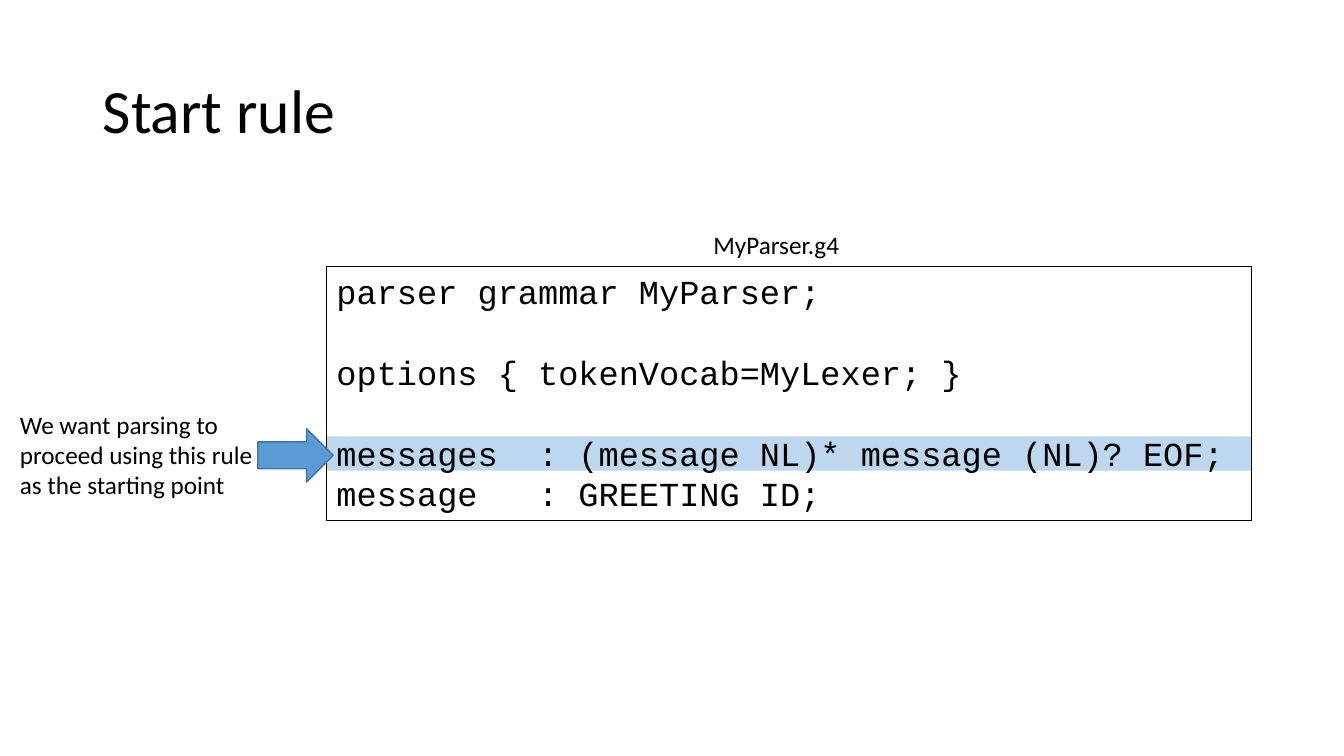
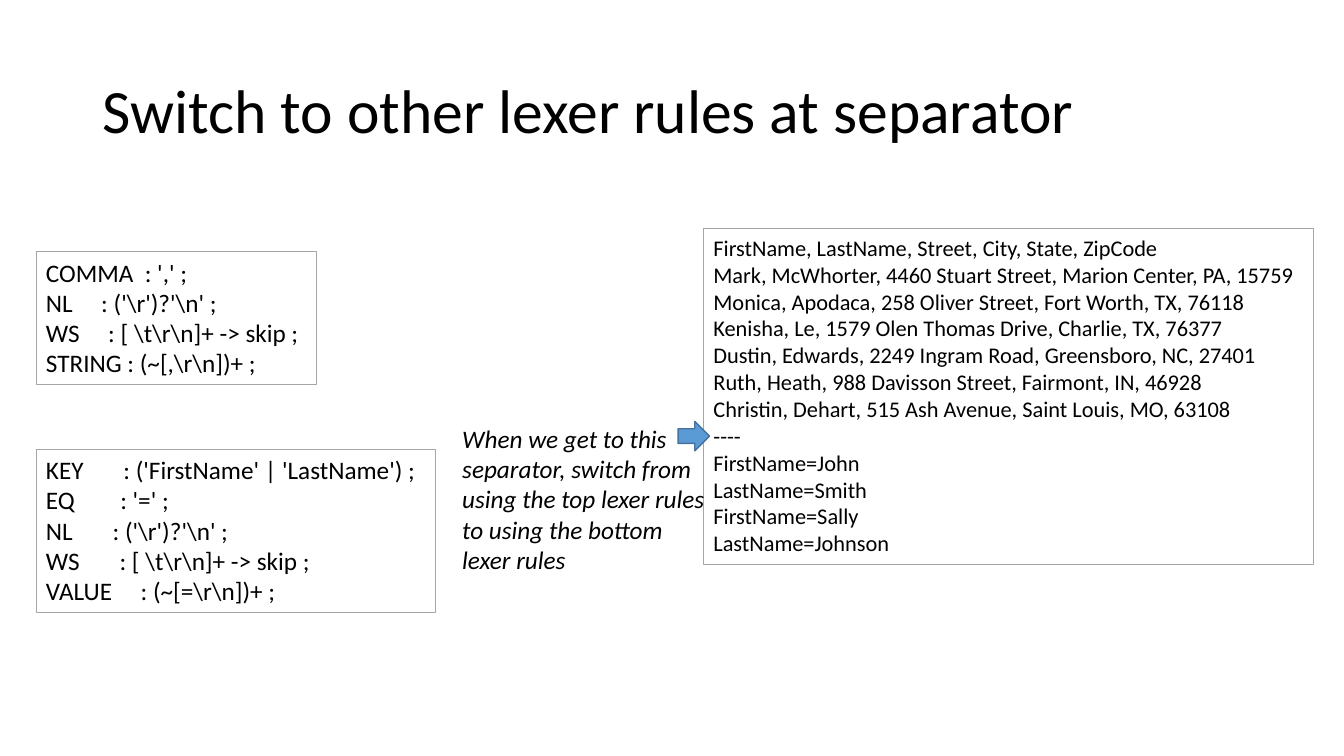
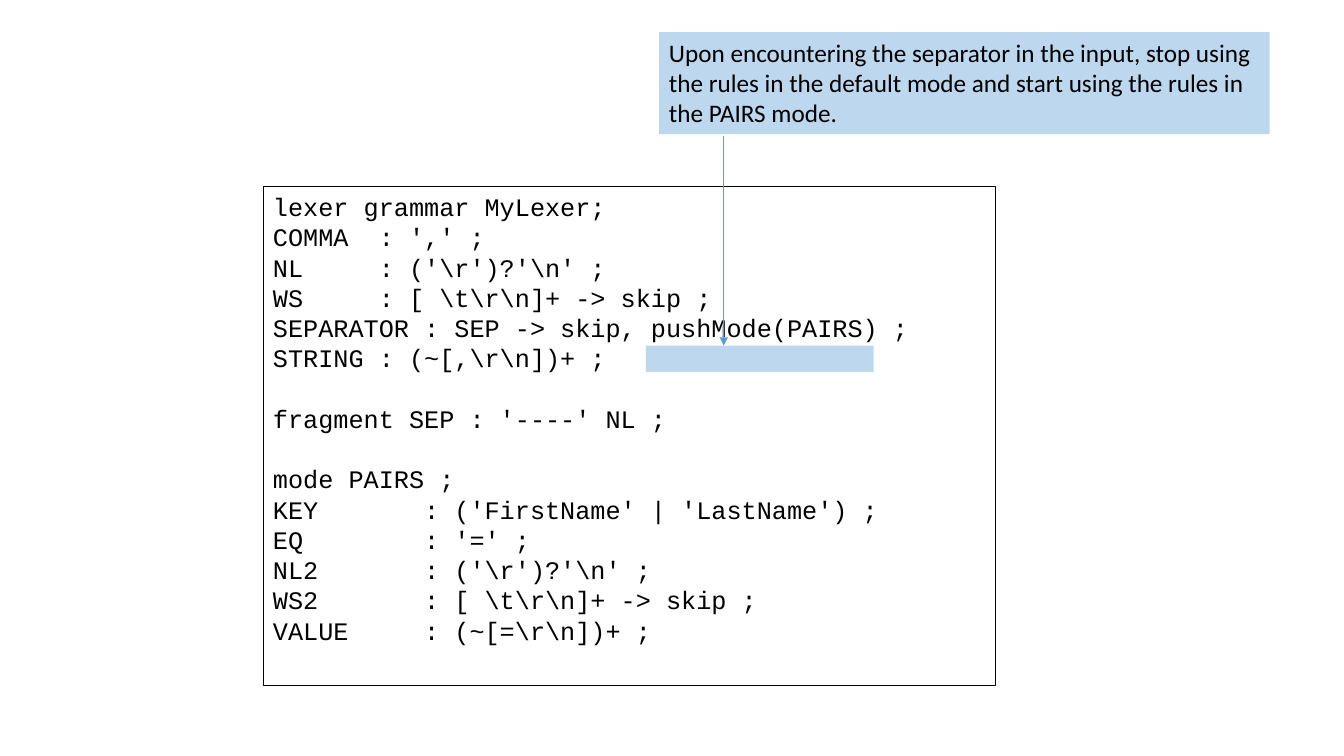
from lxml import etree
from pptx import Presentation
from pptx.dml.color import RGBColor
from pptx.enum.shapes import MSO_CONNECTOR, MSO_SHAPE
from pptx.enum.text import MSO_ANCHOR
from pptx.oxml.ns import qn
from pptx.util import Cm, Pt

# Shared look
COLORS = {"text": "000000", "highlight": "BDD7EE", "arrow": "5B9BD5",
          "arrow_edge": "43739E", "code_edge": "000000", "sample_edge": "A6A6A6"}
BODY_FONT = "Calibri"
CODE_FONT = "Courier New"
LINE_PITCH = 1.2  # line height of one text line, relative to its size


def add_text(slide, box, lines, size=18, font=BODY_FONT, edge=None, fill=None,
             italic=None, wrap=True, anchor=MSO_ANCHOR.TOP, spacing=None):
    """Text box with one paragraph a line; an empty line becomes space before the next."""
    shape = slide.shapes.add_textbox(*map(Cm, box))
    if fill:
        shape.fill.solid()
        shape.fill.fore_color.rgb = RGBColor.from_string(COLORS[fill])
    if edge:
        shape.line.color.rgb = RGBColor.from_string(COLORS[edge])
        shape.line.width = Pt(0.75)
    frame = shape.text_frame
    frame.word_wrap = wrap
    frame.vertical_anchor = anchor
    frame.text = "\n".join(line for line in lines if line)
    after_gap = [not before for before, line in zip(["start"] + lines, lines) if line]
    for paragraph, gap in zip(frame.paragraphs, after_gap):
        if gap:
            paragraph.space_before = Pt(round(size * LINE_PITCH, 1))
        if spacing:
            paragraph.line_spacing = spacing
        paragraph.font.name = font
        paragraph.font.size = Pt(size)
        paragraph.font.italic = italic
        paragraph.font.color.rgb = RGBColor.from_string(COLORS["text"])


def add_marker(slide, kind, box, fill, edge=None):
    """Plain filled shape: a highlight bar or a block arrow."""
    shape = slide.shapes.add_shape(kind, *map(Cm, box))
    shape.shadow.inherit = False
    shape.fill.solid()
    shape.fill.fore_color.rgb = RGBColor.from_string(COLORS[fill])
    if edge:
        shape.line.color.rgb = RGBColor.from_string(COLORS[edge])
        shape.line.width = Pt(1)
    else:
        shape.line.fill.background()


prs = Presentation()
prs.slide_width, prs.slide_height = Cm(33.87), Cm(19.05)
start_rule, switch_rules, push_mode = [
    prs.slides.add_slide(prs.slide_layouts[6]) for _ in range(3)]

# Titles
for slide, title in [(start_rule, "Start rule"),
                     (switch_rules, "Switch to other lexer rules at separator")]:
    add_text(slide, (2.34, 1.02, 29.21, 3.68), [title], size=44,
             anchor=MSO_ANCHOR.MIDDLE, spacing=0.9)

# Slide 1: parser grammar with its start rule highlighted
add_marker(start_rule, MSO_SHAPE.RECTANGLE, (8.23, 11, 23.32, 0.86), "highlight")
add_text(start_rule, (8.23, 6.71, 23.32, 6.4), [
    "parser grammar MyParser;",
    "",
    "options { tokenVocab=MyLexer; }",
    "",
    "messages  : (message NL)* message (NL)? EOF;",
    "message   : GREETING ID;",
], size=24, font=CODE_FONT, edge="code_edge")
add_text(start_rule, (17.73, 5.66, 3.71, 1.02), ["MyParser.g4"], wrap=False)
add_marker(start_rule, MSO_SHAPE.RIGHT_ARROW, (6.5, 10.8, 1.9, 1.35), "arrow", "arrow_edge")
add_text(start_rule, (0.25, 10.19, 6.5, 2.57),
         ["We want parsing to proceed using this rule as the starting point"])

# Slide 2: input data and the two sets of lexer rules
add_text(switch_rules, (17.73, 5.77, 15.37, 8.46), [
    "FirstName, LastName, Street, City, State, ZipCode",
    "Mark, McWhorter, 4460 Stuart Street, Marion Center, PA, 15759",
    "Monica, Apodaca, 258 Oliver Street, Fort Worth, TX, 76118",
    "Kenisha, Le, 1579 Olen Thomas Drive, Charlie, TX, 76377",
    "Dustin, Edwards, 2249 Ingram Road, Greensboro, NC, 27401",
    "Ruth, Heath, 988 Davisson Street, Fairmont, IN, 46928",
    "Christin, Dehart, 515 Ash Avenue, Saint Louis, MO, 63108",
    "----",
    "FirstName=John",
    "LastName=Smith",
    "FirstName=Sally",
    "LastName=Johnson",
], size=16, edge="sample_edge")
add_text(switch_rules, (0.91, 6.35, 7.06, 3.33), [
    "COMMA  : ',' ;",
    r"NL     : ('\r')?'\n' ;",
    r"WS     : [ \t\r\n]+ -> skip ;",
    r"STRING : (~[,\r\n])+ ;",
], edge="sample_edge")
add_text(switch_rules, (0.91, 11.33, 10.06, 4.11), [
    "KEY       : ('FirstName' | 'LastName') ;",
    "EQ        : '=' ;",
    r"NL       : ('\r')?'\n' ;",
    r"WS       : [ \t\r\n]+ -> skip ;",
    r"VALUE     : (~[=\r\n])+ ;",
], edge="sample_edge")
add_text(switch_rules, (11.4, 10.54, 6.65, 4.11),
         ["When we get to this separator, switch from using the top lexer rules "
          "to using the bottom lexer rules"], italic=True)
add_marker(switch_rules, MSO_SHAPE.RIGHT_ARROW, (17.09, 10.62, 0.79, 0.74),
           "arrow", "arrow_edge")

# Slide 3: lexer grammar with a mode for pairs
add_marker(push_mode, MSO_SHAPE.RECTANGLE, (16.28, 8.71, 5.74, 0.66), "highlight")
add_text(push_mode, (6.63, 4.7, 18.47, 12.57), [
    "lexer grammar MyLexer;",
    "COMMA  : ',' ;",
    r"NL     : ('\r')?'\n' ;",
    r"WS     : [ \t\r\n]+ -> skip ;",
    "SEPARATOR : SEP -> skip, pushMode(PAIRS) ;",
    r"STRING : (~[,\r\n])+ ;",
    "",
    "fragment SEP : '----' NL ;",
    "",
    "mode PAIRS ;",
    "KEY       : ('FirstName' | 'LastName') ;",
    "EQ        : '=' ;",
    r"NL2       : ('\r')?'\n' ;",
    r"WS2       : [ \t\r\n]+ -> skip ;",
    r"VALUE     : (~[=\r\n])+ ;",
], font=CODE_FONT, edge="code_edge")

# Arrow from the explanation to the highlight
pointer = push_mode.shapes.add_connector(
    MSO_CONNECTOR.STRAIGHT, Cm(18.24), Cm(3.43), Cm(18.24), Cm(8.71))
pointer.line.color.rgb = RGBColor.from_string(COLORS["arrow"])
pointer.line.width = Pt(0.5)
etree.SubElement(pointer.line._get_or_add_ln(), qn("a:tailEnd"), type="triangle")
etree.SubElement(pointer._element.spPr, qn("a:effectLst"))
add_text(push_mode, (16.61, 0.81, 15.39, 2.57),
         ["Upon encountering the separator in the input, stop using the rules in the "
          "default mode and start using the rules in the PAIRS mode."], fill="highlight")

prs.save("out.pptx")
